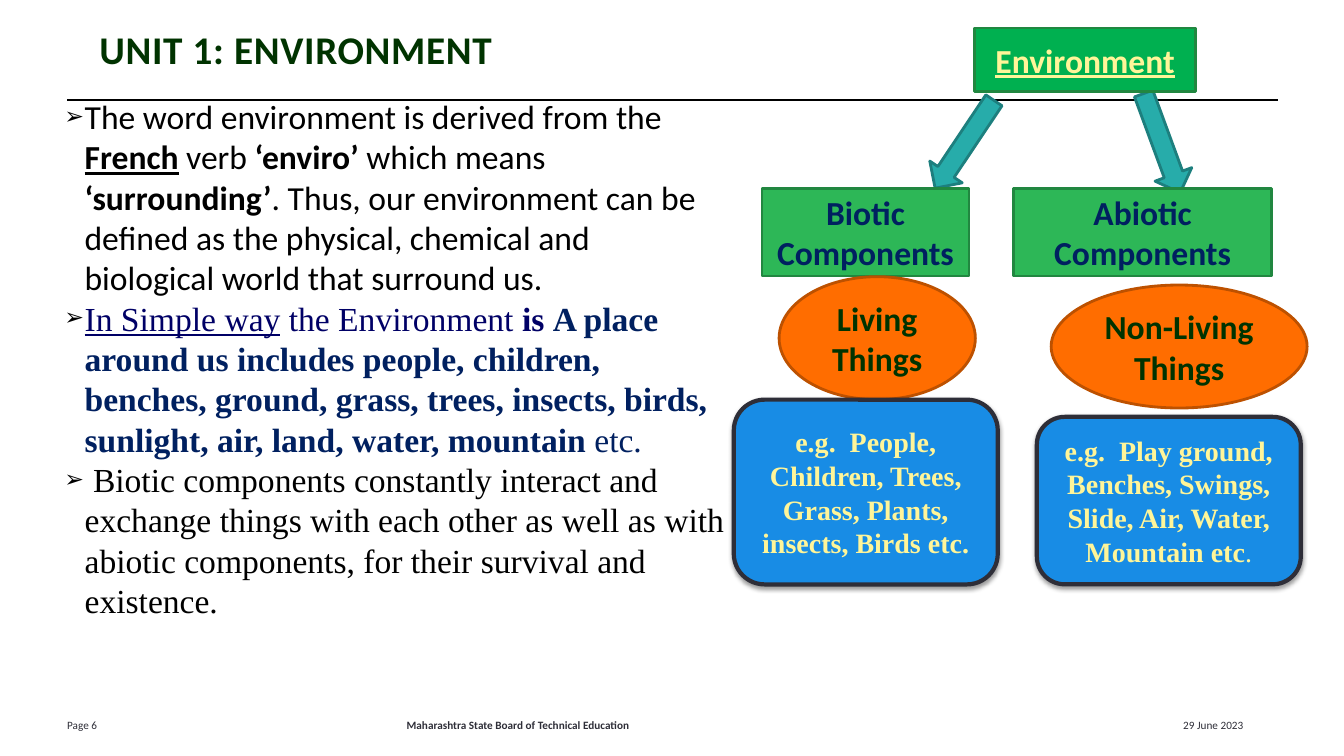
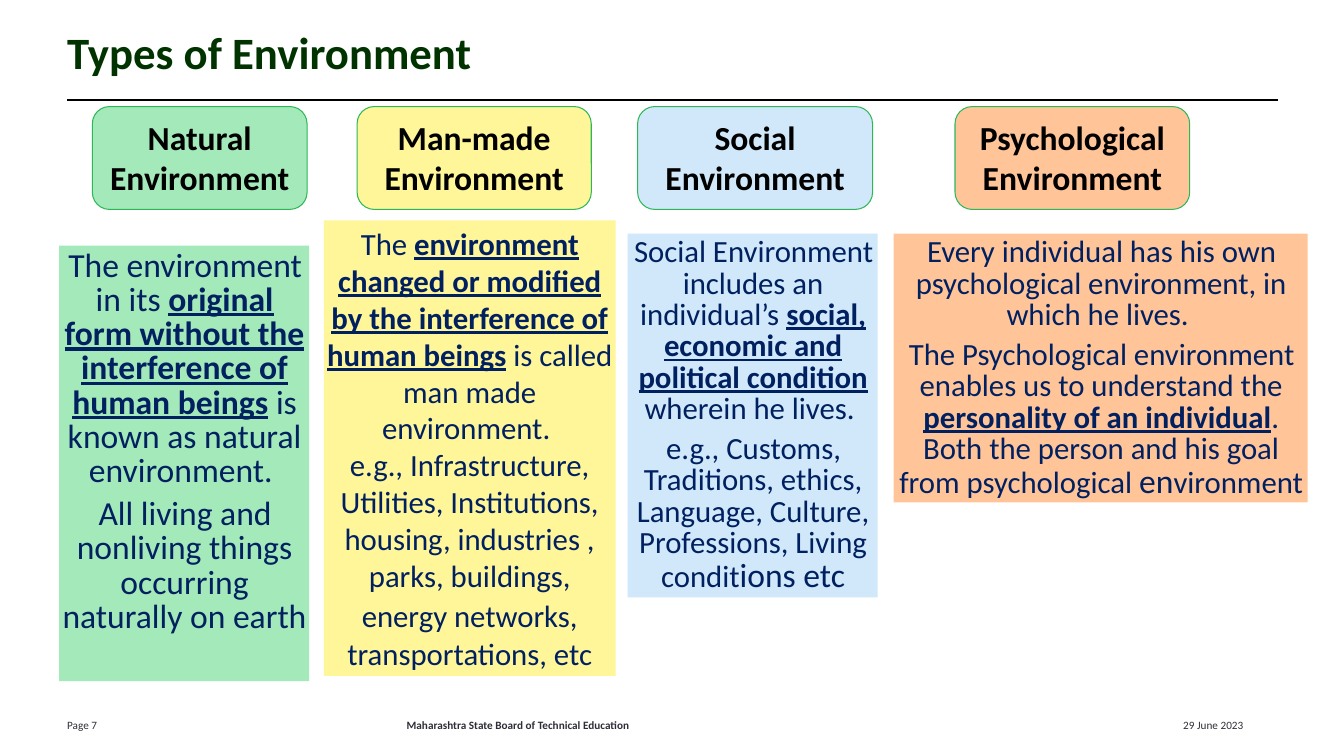
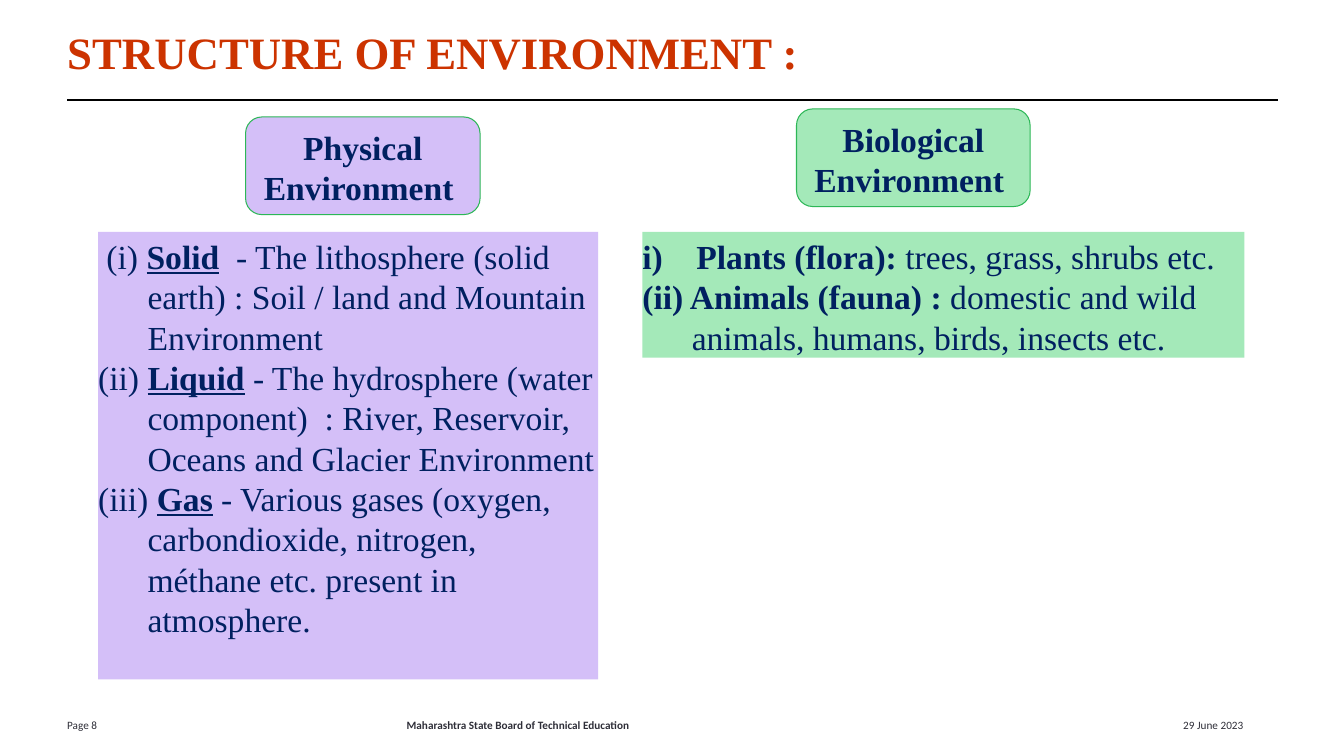
from dataclasses import dataclass, replace

from lxml.etree import SubElement
from pptx import Presentation
from pptx.dml.color import RGBColor
from pptx.enum.shapes import MSO_CONNECTOR, MSO_SHAPE
from pptx.enum.text import MSO_ANCHOR, MSO_AUTO_SIZE, PP_ALIGN
from pptx.oxml.ns import qn
from pptx.util import Emu, Inches, Pt


@dataclass(frozen=True)
class Style:
    """Look of a run of text."""
    font: str
    size: float
    color: str
    bold: bool = False
    underline: bool = False
    spacing: float = 0


@dataclass(frozen=True)
class Layout:
    """Paragraph settings, lengths in inches."""
    align: PP_ALIGN = PP_ALIGN.LEFT
    margin: float = 0
    indent: float = 0
    line: float = 1.0
    after: float = 0
    bullet: str = ""


@dataclass(frozen=True)
class Box:
    """Rectangle in inches."""
    left: float
    top: float
    width: float
    height: float

    def inner(self, left, top, width, height):
        """Return an inner box given in percent of this one."""
        return Box(self.left + self.width * left / 100, self.top + self.height * top / 100,
                   self.width * width / 100, self.height * height / 100)

    def lengths(self):
        """Return left, top, width and height as slide lengths."""
        return [Inches(value) for value in (self.left, self.top, self.width, self.height)]


class Theme:
    """Colours and type styles of the deck."""
    black, ink, navy, indigo = "000000", "2E2E38", "002060", "000066"
    forest, rust, cream = "003300", "CC3300", "FFF599"
    emerald, green, green_edge = "00B050", "2DB757", "218740"
    teal, teal_edge, orange, orange_edge, blue = "27ACAA", "1D7F7E", "FF6D00", "BD5100", "188CE5"
    mint, sky, peach, lilac = "A4E9B9", "D0E8FA", "FFC599", "D4BFF8"
    sans, serif = "Calibri", "Times New Roman"
    title = Style(sans, 32, forest, bold=True)
    unit_title = replace(title, size=28, spacing=0.5)
    serif_title = replace(title, font=serif, color=rust)
    footer = Style(sans, 8, ink)
    body = Style(sans, 24, black)
    heading = replace(body, bold=True)
    serif_heading = Style(serif, 24, navy, bold=True)
    node = replace(heading, color=navy)
    root = replace(heading, color=cream, underline=True)
    kind = replace(heading, color=forest)
    example = Style(serif, 20, cream, bold=True)
    note = Style(sans, 22, navy)
    large_note = replace(note, size=24)
    serif_note = Style(serif, 24, navy)


SLIDE = Box(0, 0, 13.34, 7.5)
CENTRED = Layout(align=PP_ALIGN.CENTER)
TITLE = Layout(line=0.85)
BULLETED = Layout(margin=0.2, indent=-0.2, bullet="➢")
SPACED = Layout(PP_ALIGN.CENTER, 0.01, 0.01, 0.85, 6)
HANGING = Layout(margin=0.49, indent=-0.49)
DEFAULT_INSETS = (0.1, 0.05, 0.1, 0.05)
NO_INSETS = (0, 0, 0, 0)
NOTE_INSETS = (0, 0.04, 0, 0)
KEY = {"bold": True, "underline": True}
STRONG = {"bold": True}
LARGE = {"size": 24}


def write(shape, paragraphs, style, layout=Layout(), insets=DEFAULT_INSETS, anchor=MSO_ANCHOR.TOP):
    """Fill a shape with paragraphs made of strings and (string, changes) pairs."""
    frame = shape.text_frame
    frame.word_wrap = True
    frame.auto_size = MSO_AUTO_SIZE.NONE
    frame.vertical_anchor = anchor
    (frame.margin_left, frame.margin_top,
     frame.margin_right, frame.margin_bottom) = [Inches(inset) for inset in insets]
    for index, spans in enumerate(paragraphs):
        para = frame.add_paragraph() if index else frame.paragraphs[0]
        format_paragraph(para, layout)
        for span in spans:
            text, changes = (span, {}) if isinstance(span, str) else span
            add_run(para, text, replace(style, **changes))


def format_paragraph(para, layout):
    """Apply alignment, spacing, indents and bullet."""
    para.alignment = layout.align
    para.line_spacing = layout.line
    para.space_before = Pt(0)
    para.space_after = Pt(layout.after)
    properties = para._p.get_or_add_pPr()
    properties.set("marL", str(Inches(layout.margin)))
    properties.set("indent", str(Inches(layout.indent)))
    if layout.bullet:
        color = SubElement(properties, qn("a:buClr"))
        SubElement(color, qn("a:srgbClr"), val=Theme.black)
        SubElement(properties, qn("a:buSzPct"), val="70000")
        SubElement(properties, qn("a:buChar"), char=layout.bullet)


def add_run(para, text, style):
    """Add one styled run."""
    run = para.add_run()
    run.text = text
    run.font.name = style.font
    run.font.size = Pt(style.size)
    run.font.bold = style.bold
    run.font.underline = style.underline
    run.font.color.rgb = RGBColor.from_string(style.color)
    if style.spacing:
        run._r.get_or_add_rPr().set("spc", str(int(style.spacing * 100)))


def add_figure(page, box, preset, fill, edge=None, weight=2.0):
    """Add a flat preset shape."""
    shape = page.shapes.add_shape(preset, *box.lengths())
    shape.shadow.inherit = False
    shape.fill.solid()
    shape.fill.fore_color.rgb = RGBColor.from_string(fill)
    if edge:
        shape.line.color.rgb = RGBColor.from_string(edge)
        shape.line.width = Pt(weight)
    else:
        shape.line.fill.background()
    return shape


def add_soft_shadow(shape):
    """Give a shape a soft shadow below it."""
    effects = shape._element.spPr.find(qn("a:effectLst"))
    shadow = SubElement(effects, qn("a:outerShdw"), blurRad="40000", dist="20000",
                        dir="5400000", rotWithShape="0")
    color = SubElement(shadow, qn("a:srgbClr"), val=Theme.black)
    SubElement(color, qn("a:alpha"), val="38000")


def place(placeholder, box):
    """Move a placeholder to a box."""
    (placeholder.left, placeholder.top,
     placeholder.width, placeholder.height) = box.lengths()


def add_footer(page, box, number):
    """Write page number, institution and date across the footer band."""
    entries = (
        (5, 5.5, f"Page {number}", Theme.footer, Layout(), (0, 0.05, 0.1, 0.05)),
        (25.9, 25.3, "Maharashtra State Board of Technical Education",
         replace(Theme.footer, bold=True), CENTRED, DEFAULT_INSETS),
        (87.3, 9.7, "29 June 2023", Theme.footer, Layout(), DEFAULT_INSETS),
    )
    for left, width, text, style, layout, insets in entries:
        label = page.shapes.add_textbox(*box.inner(left, 0, width, 100).lengths())
        write(label, [[text]], style, layout, insets)


def add_rule(page, box):
    """Draw the line under the title."""
    left, top, width, _ = box.lengths()
    rule = page.shapes.add_connector(MSO_CONNECTOR.STRAIGHT, left, top, Emu(left + width), top)
    rule.line.color.rgb = RGBColor.from_string(Theme.black)
    rule.line.width = Pt(1.5)
    SubElement(rule._element.spPr, qn("a:effectLst"))


def add_page(deck, number, title, style, layout_index=5, title_box=SLIDE.inner(5, 4.3, 90, 8.7)):
    """Add a slide with the shared footer, rule and title."""
    page = deck.slides.add_slide(deck.slide_layouts[layout_index])
    add_footer(page, SLIDE.inner(0, 94.4, 100, 2.7), number)
    add_rule(page, SLIDE.inner(5, 13.2, 90.1, 0))
    place(page.shapes.title, title_box)
    write(page.shapes.title, [[title]], style, TITLE, NO_INSETS)
    return page


def add_component_tree(page, box):
    """Draw the environment tree with its two branches."""
    rect, oval, rounded = MSO_SHAPE.RECTANGLE, MSO_SHAPE.OVAL, MSO_SHAPE.ROUNDED_RECTANGLE
    green = (rect, Theme.green, Theme.green_edge)
    orange = (oval, Theme.orange, Theme.orange_edge)
    blue = (rounded, Theme.blue, Theme.ink, 3)
    nodes = (
        ((41.9, 0, 38.6, 11.4), (rect, Theme.emerald, Theme.green_edge), Theme.root, ["Environment"]),
        ((4.9, 28.8, 36.1, 15.8), green, Theme.node, ["Biotic Components"]),
        ((48.8, 28.8, 44.9, 15.8), green, Theme.node, ["Abiotic Components"]),
        ((7.9, 44.7, 34.2, 22.1), orange, Theme.kind, ["Living Things"]),
        ((55.3, 46.2, 44.6, 22.1), orange, Theme.kind, ["Non-Living Things"]),
        ((0, 66.8, 46, 33.2), blue, Theme.example,
         ["e.g.  People, Children, Trees, Grass, Plants, insects, Birds etc."]),
        ((52.8, 69.9, 46, 30.1), blue, Theme.example,
         ["e.g.  Play ground, Benches, Swings, Slide, Air, Water, Mountain etc", (".", {"bold": False})]),
    )
    for left, top, turn in ((36.8, 11.4, 33.8), (71.2, 11.2, 339.8)):
        arrow = add_figure(page, box.inner(left, top, 6.8, 19), MSO_SHAPE.DOWN_ARROW,
                           Theme.teal, Theme.teal_edge)
        arrow.rotation = turn
    for area, look, style, spans in nodes:
        node = add_figure(page, box.inner(*area), *look)
        write(node, [spans], style, CENTRED, anchor=MSO_ANCHOR.MIDDLE)
        if look is blue:
            add_soft_shadow(node)


def add_topic(page, box, fill, heading, note):
    """Draw a rounded heading above a filled note."""
    area, paragraphs, style = heading
    shape = add_figure(page, box.inner(*area), MSO_SHAPE.ROUNDED_RECTANGLE, fill, Theme.green, 0.75)
    write(shape, paragraphs, style, CENTRED)
    top, height, paragraphs, style, layout = note
    panel = add_figure(page, box.inner(0, top, 100, height), MSO_SHAPE.RECTANGLE, fill)
    write(panel, paragraphs, style, layout, NOTE_INSETS)


def build_unit(deck):
    """Build the slide that defines the environment."""
    page = add_page(deck, 6, "UNIT 1: ENVIRONMENT", Theme.unit_title, 1,
                    SLIDE.inner(7.4, 4.3, 40.8, 8.7))
    serif = {"font": Theme.serif}
    indigo = {**serif, "color": Theme.indigo}
    navy = {**serif, "color": Theme.navy}
    paragraphs = [
        ["The word environment is derived from the ", ("French", KEY), " verb ",
         ("‘enviro’", STRONG), " which means ", ("‘surrounding’", STRONG),
         ". Thus, our environment can be defined as the physical, chemical and biological "
         "world that surround us."],
        [("In Simple way", {**indigo, "underline": True}), (" the Environment ", indigo),
         ("is ", {**indigo, **STRONG}),
         ("A place around us includes people, children, benches, ground, grass, trees, insects, "
          "birds, sunlight, air, land, water, mountain", {**navy, **STRONG}), (" etc.", navy)],
        [(" Biotic components constantly interact and exchange things with each other as well as "
          "with abiotic components, for their survival and existence.", serif)],
    ]
    body = page.placeholders[1]
    place(body, SLIDE.inner(4.8, 12.7, 49.3, 76.3))
    write(body, paragraphs, Theme.body, BULLETED, NO_INSETS)
    add_component_tree(page, SLIDE.inner(54.6, 3.7, 42.7, 73.6))


def build_types(deck):
    """Build the slide with four types of environment."""
    page = add_page(deck, 7, "Types of Environment", Theme.title)
    natural = [
        ["The environment in its ",
         ("original form without the interference of human beings", KEY),
         " is known as natural environment. "],
        ["All living and nonliving things occurring naturally on earth"],
    ]
    man_made = [
        ["The ", ("environment changed or modified by the interference of human beings", KEY),
         " is called man made environment. "],
        ["e.g., Infrastructure, Utilities, Institutions, housing, industries , parks, buildings, "
         "energy networks,", (" ", LARGE), "transportations, etc"],
    ]
    social = [
        ["Social Environment includes an individual’s ",
         ("social, economic and political condition", KEY), " wherein he lives. "],
        ["e.g., Customs, Traditions, ethics, Language, Culture, Professions, Living condit",
         ("ions etc", LARGE)],
    ]
    psychological = [
        ["Every individual has his own psychological environment, in which he lives. "],
        ["The Psychological environment enables us to understand the ",
         ("personality of an individual", KEY),
         ". Both the person and his goal from psychological ", ("en", LARGE), "vironment"],
    ]
    topics = (
        (4.4, 18.6, Theme.mint, "Natural", 13.3, 85.9,
         (24.2, 75.8, natural, Theme.large_note, SPACED)),
        (24.1, 21.7, Theme.cream, "Man-made", 11.4, 80.3,
         (19.8, 79.3, man_made, Theme.note, CENTRED)),
        (46.7, 18.6, Theme.sky, "Social", 4, 94, (22.1, 63.3, social, Theme.note, SPACED)),
        (66.5, 30.8, Theme.peach, "Psychological", 14.8, 56.7,
         (22.1, 46.8, psychological, Theme.note, SPACED)),
    )
    for left, width, fill, name, heading_left, heading_width, note in topics:
        heading = ((heading_left, 0, heading_width, 17.9), [[name], ["Environment"]], Theme.heading)
        add_topic(page, SLIDE.inner(left, 14.1, width, 76), fill, heading, note)


def build_structure(deck):
    """Build the slide on physical and biological environment."""
    page = add_page(deck, 8, "STRUCTURE OF ENVIRONMENT :", Theme.serif_title)
    physical = [
        [" (i) ", ("Solid", KEY),
         "  - The lithosphere (solid earth) : Soil / land and Mountain Environment"],
        ["(ii) ", ("Liquid", KEY),
         " - The hydrosphere (water component)  : River, Reservoir, Oceans and Glacier Environment"],
        ["(iii) ", ("Gas", KEY),
         " - Various gases (oxygen, carbondioxide, nitrogen, méthane etc. present in  atmosphere."],
    ]
    biological = [
        [("i)    Plants (flora): ", STRONG), "trees, grass, shrubs etc."],
        [("(ii) Animals (fauna) : ", STRONG),
         "domestic and wild animals, humans, birds, insects etc."],
    ]
    topics = (
        (7.3, 37.2, Theme.lilac, "Physical", (29.5, 1.8, 46.9, 17), 77.9, physical),
        (47.8, 44.8, Theme.mint, "Biological", (25.6, 0.4, 38.8, 17), 21.9, biological),
    )
    for left, width, fill, name, area, height, paragraphs in topics:
        heading = (area, [[f"{name} Environment "]], Theme.serif_heading)
        note = (21.8, height, paragraphs, Theme.serif_note, HANGING)
        add_topic(page, SLIDE.inner(left, 14.1, width, 76), fill, heading, note)


def main():
    """Build and save the deck."""
    deck = Presentation()
    deck.slide_width, deck.slide_height = Inches(SLIDE.width), Inches(SLIDE.height)
    for build in (build_unit, build_types, build_structure):
        build(deck)
    deck.save("out.pptx")


if __name__ == "__main__":
    main()
